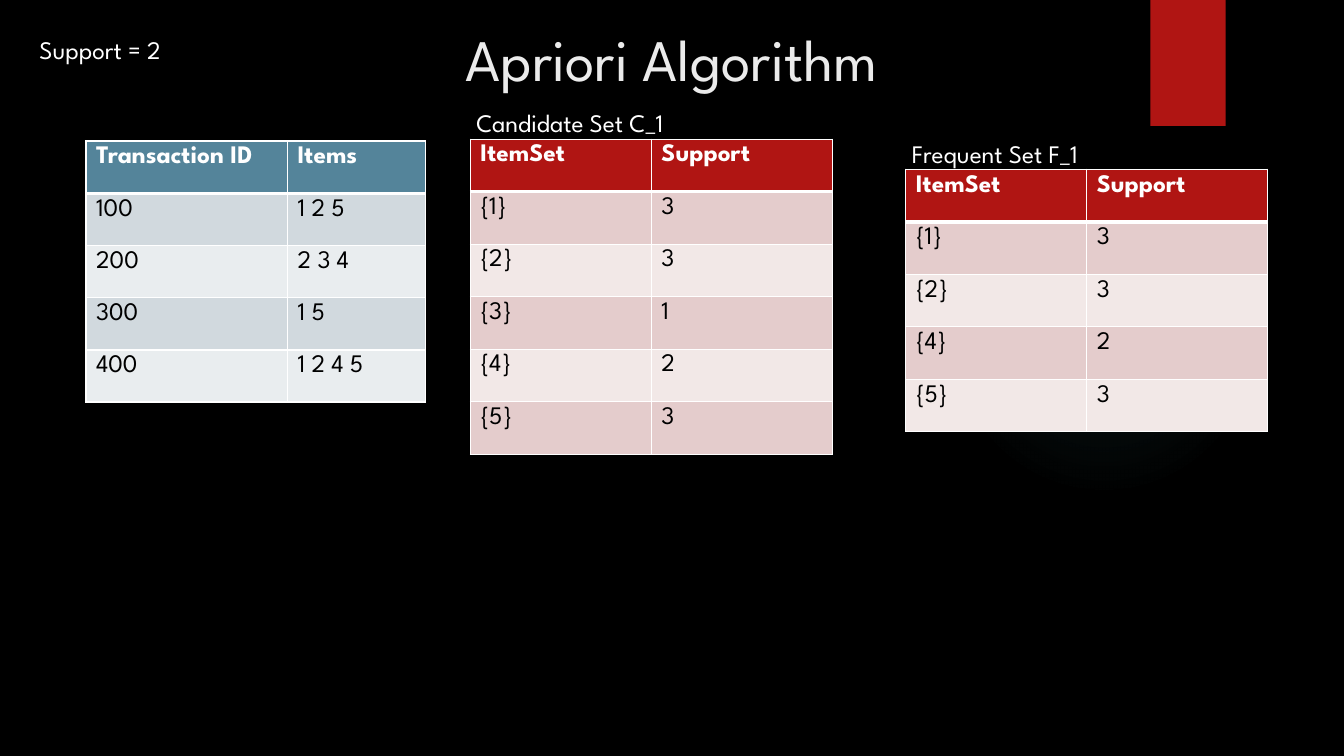
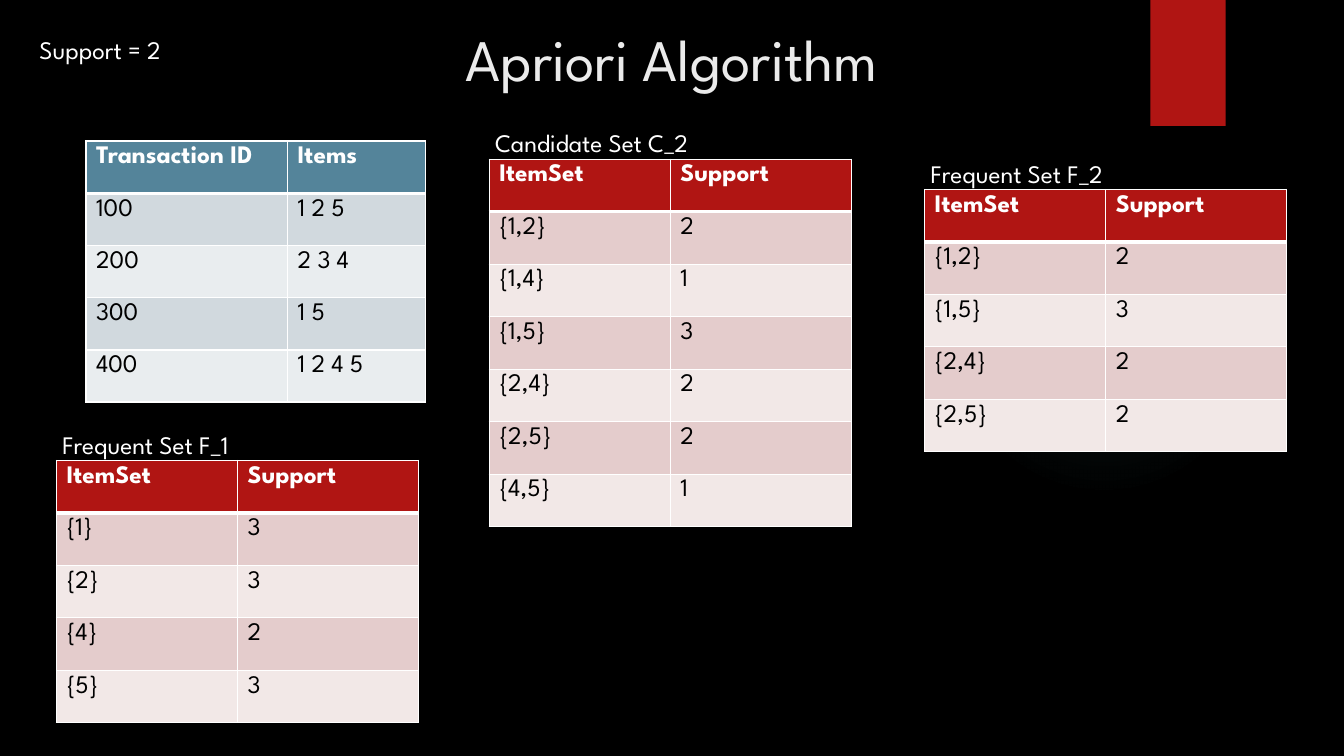
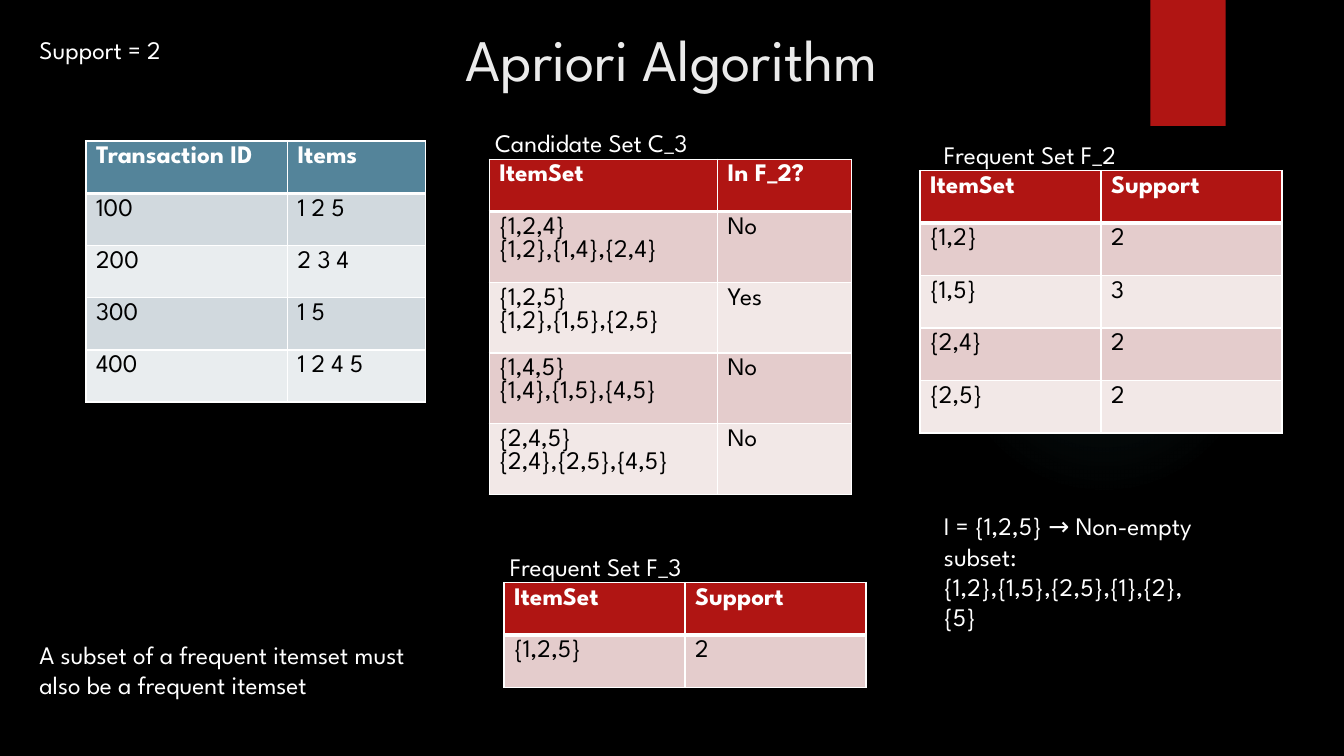
"""Three slides that walk through the Apriori algorithm on a small basket."""
from dataclasses import dataclass

from pptx import Presentation, oxml
from pptx import util as u
from pptx.dml.color import RGBColor
from pptx.enum import shapes, text
from pptx.oxml.ns import nsdecls

WIDTH, HEIGHT = u.Inches(13.33), u.Inches(7.5)
FONT = "League Spartan"
BLACK = RGBColor(0x00, 0x00, 0x00)
WHITE = RGBColor(0xFF, 0xFF, 0xFF)
TITLE_GREY = RGBColor(0xEB, 0xEB, 0xEB)
RED = RGBColor(0xB0, 0x15, 0x13)
RED_BANDS = (RGBColor(0xE4, 0xCC, 0xCC), RGBColor(0xF2, 0xE8, 0xE7))
BLUE = RGBColor(0x54, 0x84, 0x9A)
BLUE_BANDS = (RGBColor(0xD1, 0xD9, 0xDE), RGBColor(0xE9, 0xED, 0xEF))
GLOW = RGBColor(0x50, 0xB9, 0xC1)
GLOW_STOPS = ((0, 7), (36, 6), (69, 0))
BODY_SIZE, TITLE_SIZE = 18, 42
LEADING = 1.2
ROW, TALL_ROW = 6.95, 9.35
HALVES = (13.47, 13.47)


@dataclass(frozen=True)
class Area:
    """A rectangle in percent of the slide's width and height."""
    left: float
    top: float
    width: float
    height: float

    def lengths(self) -> tuple[int, int, int, int]:
        """Return left, top, width and height in EMU."""
        return across(self.left), down(self.top), across(self.width), down(self.height)


@dataclass(frozen=True)
class Note:
    """Plain text in an area."""
    wording: str
    area: Area


@dataclass(frozen=True)
class SetTable:
    """A table of records with an optional caption above it."""
    left: float
    top: float
    records: tuple[tuple[str, ...], ...]
    heading: tuple[str, str] = ("ItemSet", "Support")
    caption: str = ""
    caption_shift: float = -0.3
    columns: tuple[float, float] = HALVES
    row: float = ROW
    accent: RGBColor = RED
    bands: tuple[RGBColor, RGBColor] = RED_BANDS


@dataclass(frozen=True)
class Step:
    """The contents of one slide beyond what all slides share."""
    tables: tuple[SetTable, ...]
    notes: tuple[Note, ...] = ()


def across(share: float) -> int:
    """Turn a percentage of the slide's width into EMU."""
    return round(WIDTH * share / 100)


def down(share: float) -> int:
    """Turn a percentage of the slide's height into EMU."""
    return round(HEIGHT * share / 100)


def style(frame, size: int, color: RGBColor, bold: bool = False) -> None:
    """Format every run of a text frame."""
    for paragraph in frame.paragraphs:
        for run in paragraph.runs:
            run.font.name = FONT
            run.font.size = u.Pt(size)
            run.font.bold = bold
            run.font.color.rgb = color


def add_note(slide, note: Note, size: int = BODY_SIZE, color: RGBColor = WHITE,
             align=text.PP_ALIGN.LEFT) -> None:
    """Draw a wrapped text box with fixed leading."""
    frame = slide.shapes.add_textbox(*note.area.lengths()).text_frame
    frame.word_wrap = True
    frame.text = note.wording
    style(frame, size, color)
    for paragraph in frame.paragraphs:
        paragraph.alignment = align
        paragraph.line_spacing = u.Pt(size * LEADING)


def add_borders(cell, row: int) -> None:
    """Rule a cell in white, with a heavy line under the heading."""
    weights = {"L": 1, "R": 1, "T": 3 if row == 1 else 1, "B": 3 if row == 0 else 1}
    for side, weight in weights.items():
        cell._tc.get_or_add_tcPr().append(oxml.parse_xml(
            f'<a:ln{side} {nsdecls("a")} w="{u.Pt(weight)}"><a:solidFill>'
            f'<a:srgbClr val="{WHITE}"/></a:solidFill></a:ln{side}>'))


def add_set_table(slide, spec: SetTable) -> None:
    """Draw a banded table and its caption."""
    rows = (spec.heading, *spec.records)
    heights = [ROW] + [spec.row] * len(spec.records)
    area = Area(spec.left, spec.top, sum(spec.columns), sum(heights))
    table = slide.shapes.add_table(len(rows), len(spec.columns), *area.lengths()).table
    for column, share in zip(table.columns, spec.columns):
        column.width = across(share)
    for index, (record, height) in enumerate(zip(rows, heights)):
        table.rows[index].height = down(height)
        for cell, wording in zip(table.rows[index].cells, record):
            heading = index == 0
            cell.text_frame.text = wording
            style(cell.text_frame, BODY_SIZE, WHITE if heading else BLACK, heading)
            add_borders(cell, index)
            cell.fill.solid()
            cell.fill.fore_color.rgb = spec.accent if heading else spec.bands[(index - 1) % 2]
    if spec.caption:
        add_note(slide, Note(spec.caption, Area(
            spec.left + spec.caption_shift, spec.top - 4.8, 21.15, 5.3)))


def add_backdrop(slide) -> None:
    """Draw the black ground, the glow and the red tab."""
    slide.background.fill.solid()
    slide.background.fill.fore_color.rgb = BLACK
    kinds = shapes.MSO_SHAPE
    glow = slide.shapes.add_shape(kinds.OVAL, *Area(70.6, 24.4, 23.1, 41.1).lengths())
    tab = slide.shapes.add_shape(kinds.RECTANGLE, *Area(85.6, 0, 5.6, 16.67).lengths())
    for shape in (glow, tab):
        shape.shadow.inherit = False
        shape.line.fill.background()
    tab.fill.solid()
    tab.fill.fore_color.rgb = RED
    glow.fill.background()
    stops = "".join(
        f'<a:gs pos="{place * 1000}"><a:srgbClr val="{GLOW}">'
        f'<a:alpha val="{alpha * 1000}"/></a:srgbClr></a:gs>' for place, alpha in GLOW_STOPS)
    gradient = oxml.parse_xml(
        f'<a:gradFill {nsdecls("a")}><a:gsLst>{stops}</a:gsLst><a:path path="circle">'
        '<a:fillToRect l="50000" t="50000" r="50000" b="50000"/></a:path></a:gradFill>')
    properties = glow.element.spPr
    properties.replace(properties.find(oxml.ns.qn("a:noFill")), gradient)


TRANSACTIONS = SetTable(
    6.4, 18.65,
    (("100", "1 2 5"), ("200", "2 3 4"), ("300", "1 5"), ("400", "1 2 4 5")),
    heading=("Transaction ID", "Items"), columns=(15, 10.25), row=6.9,
    accent=BLUE, bands=BLUE_BANDS)
TITLE = Note("Apriori Algorithm", Area(9.4, 2.3, 81.2, 14.1))
SUPPORT = Note("Support = 2", Area(2.2, 3.9, 14.3, 5.3))

FREQUENT_1 = (("{1}", "3"), ("{2}", "3"), ("{4}", "2"), ("{5}", "3"))
FREQUENT_2 = (("{1,2}", "2"), ("{1,5}", "3"), ("{2,4}", "2"), ("{2,5}", "2"))
CANDIDATE_1 = (("{1}", "3"), ("{2}", "3"), ("{3}", "1"), ("{4}", "2"), ("{5}", "3"))
CANDIDATE_2 = (("{1,2}", "2"), ("{1,4}", "1"), ("{1,5}", "3"),
               ("{2,4}", "2"), ("{2,5}", "2"), ("{4,5}", "1"))
CANDIDATE_3 = (("{1,2,4}\n{1,2},{1,4},{2,4}", "No"), ("{1,2,5}\n{1,2},{1,5},{2,5}", "Yes"),
               ("{1,4,5}\n{1,4},{1,5},{4,5}", "No"), ("{2,4,5}\n{2,4},{2,5},{4,5}", "No"))

STEPS = (
    Step((SetTable(35, 18.4, CANDIDATE_1, caption="Candidate Set C_1"),
          SetTable(67.4, 22.4, FREQUENT_1, caption="Frequent Set F_1"))),
    Step((SetTable(4.2, 60.9, FREQUENT_1, caption="Frequent Set F_1"),
          SetTable(36.4, 21.05, CANDIDATE_2, caption="Candidate Set C_2"),
          SetTable(68.8, 25.05, FREQUENT_2, caption="Frequent Set F_2"))),
    Step((SetTable(36.4, 21.05, CANDIDATE_3, heading=("ItemSet", "In F_2?"),
                   caption="Candidate Set C_3", columns=(17, 9.95), row=TALL_ROW),
          SetTable(37.5, 77.05, (("{1,2,5}", "2"),), caption="Frequent Set F_3"),
          SetTable(68.45, 22.55, FREQUENT_2, caption="Frequent Set F_2", caption_shift=1.05)),
         (Note("A subset of a frequent itemset must also be a frequent itemset",
               Area(2.2, 83.9, 31.1, 9.5)),
          Note("I = {1,2,5} → Non-empty subset:\n{1,2},{1,5},{2,5},{1},{2},{5}",
               Area(69.5, 66.9, 21.15, 17.5)))),
)


def add_step(deck, step: Step) -> None:
    """Add one slide with the shared parts and the step's own."""
    slide = deck.slides.add_slide(deck.slide_layouts[6])
    add_backdrop(slide)
    add_note(slide, TITLE, TITLE_SIZE, TITLE_GREY, text.PP_ALIGN.CENTER)
    for table in (TRANSACTIONS, *step.tables):
        add_set_table(slide, table)
    for note in (SUPPORT, *step.notes):
        add_note(slide, note)


def main() -> None:
    """Build and save the deck."""
    deck = Presentation()
    deck.slide_width, deck.slide_height = WIDTH, HEIGHT
    for step in STEPS:
        add_step(deck, step)
    deck.save("out.pptx")


if __name__ == "__main__":
    main()
